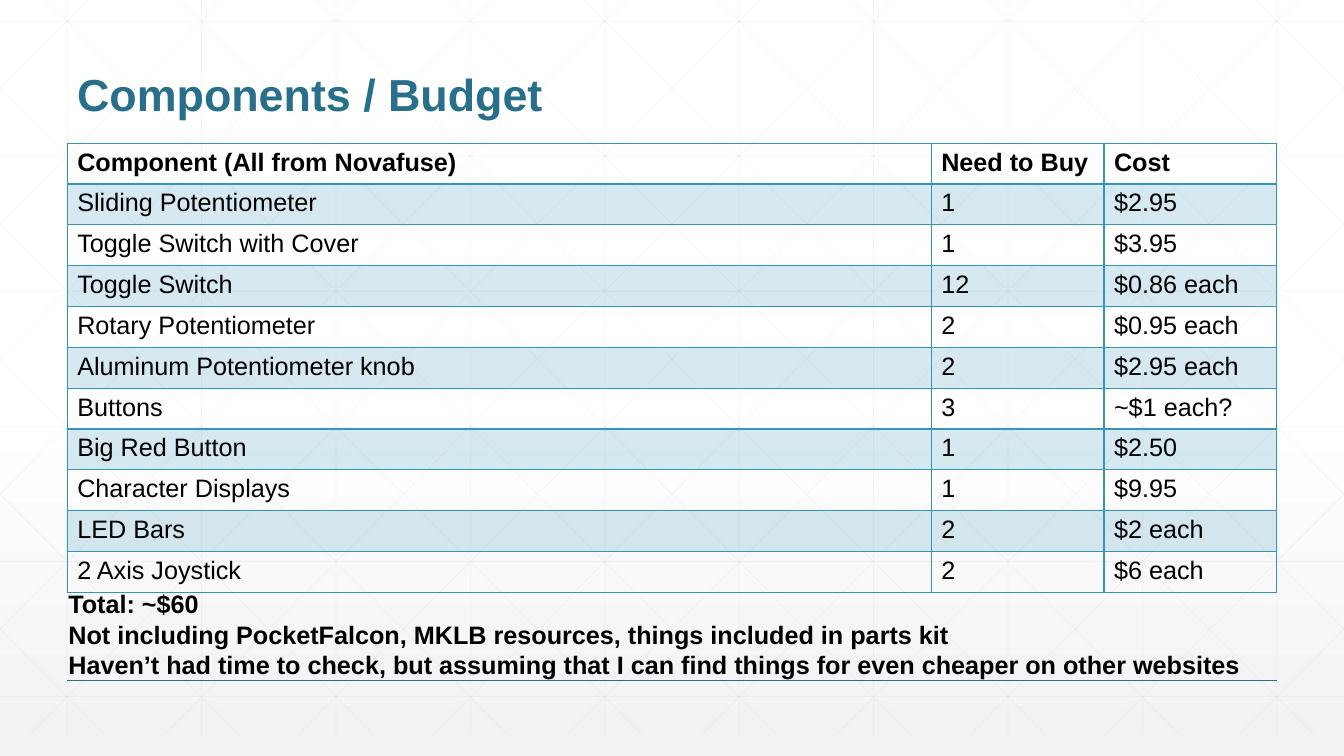
import pptx
import pptx.dml.color
import pptx.enum.shapes
import pptx.enum.text
import pptx.oxml
import pptx.oxml.ns
import pptx.util
from lxml import etree

WIDTH, HEIGHT = 13.33, 7.5
COLUMN = WIDTH / 10              # spacing of the vertical grid lines
MARGIN = COLUMN / 2
CONTENT = WIDTH - 2 * MARGIN
GRID_TOP = -0.21
GRID_BOTTOM = GRID_TOP + HEIGHT
GRID_ROW = 1.34
DIAGONAL_RUN = 7.455             # sideways travel of a full-height diagonal
FONT = "Arial"
COLORS = {"text": "000000", "title": "276F8B", "accent": "3494BA",
          "grid": "D9D9D9", "light": "FFFFFF", "shade": "F2F2F2"}
COLUMN_SHARES = (5 / 7, 1 / 7, 1 / 7)
PARTS = [
    ("Component (All from Novafuse)", "Need to Buy", "Cost"),
    ("Sliding Potentiometer", "1", "$2.95"),
    ("Toggle Switch with Cover", "1", "$3.95"),
    ("Toggle Switch", "12", "$0.86 each"),
    ("Rotary Potentiometer", "2", "$0.95 each"),
    ("Aluminum Potentiometer knob", "2", "$2.95 each"),
    ("Buttons", "3", "~$1 each?"),
    ("Big Red Button", "1", "$2.50"),
    ("Character Displays", "1", "$9.95"),
    ("LED Bars", "2", "$2 each"),
    ("2 Axis Joystick", "2", "$6 each"),
]
NOTES = [
    "Total: ~$60",
    "Not including PocketFalcon, MKLB resources, things included in parts kit",
    "Haven’t had time to check, but assuming that I can find things "
    "for even cheaper on other websites",
]


def inches(*lengths):
    return [pptx.util.Inches(length) for length in lengths]


def rgb(name):
    return pptx.dml.color.RGBColor.from_string(COLORS[name])


def set_alpha(parent, percent):
    for color in parent.iter(pptx.oxml.ns.qn("a:srgbClr")):
        alpha = etree.SubElement(color, pptx.oxml.ns.qn("a:alpha"))
        alpha.set("val", str(percent * 1000))


def set_background(page):
    page.element.cSld.insert(0, pptx.oxml.parse_xml(
        f'<p:bg {pptx.oxml.ns.nsdecls("p", "a")}><p:bgPr><a:gradFill><a:gsLst>'
        f'<a:gs pos="0"><a:srgbClr val="{COLORS["light"]}"/></a:gs>'
        f'<a:gs pos="53000"><a:srgbClr val="{COLORS["light"]}"/></a:gs>'
        f'<a:gs pos="100000"><a:srgbClr val="{COLORS["shade"]}">'
        '<a:alpha val="65000"/></a:srgbClr></a:gs></a:gsLst>'
        '<a:lin ang="5400000" scaled="0"/></a:gradFill><a:effectLst/>'
        '</p:bgPr></p:bg>'))


def add_line(page, start, end, color, weight, opacity=100):
    line = page.shapes.add_connector(
        pptx.enum.shapes.MSO_CONNECTOR.STRAIGHT, *inches(*start, *end))
    line.line.color.rgb = rgb(color)
    line.line.width = pptx.util.Pt(weight)
    if opacity < 100:
        set_alpha(line.line._ln, opacity)
    etree.SubElement(line._element.spPr, pptx.oxml.ns.qn("a:effectLst"))


def add_grid(page):
    lines = [((MARGIN + COLUMN * i, GRID_TOP), (MARGIN + COLUMN * i, GRID_BOTTOM))
             for i in range(10)]
    lines += [((0, 0.21 + GRID_ROW * i), (WIDTH, 0.21 + GRID_ROW * i))
              for i in range(6)]
    # Diagonals are clipped at the slide's sides, then mirrored
    for i in range(-5, 10):
        top_x = 0.25 + COLUMN * i
        xs = max(top_x, 0), min(top_x + DIAGONAL_RUN, WIDTH)
        ys = [GRID_TOP + (x - top_x) * HEIGHT / DIAGONAL_RUN for x in xs]
        (x1, x2), (y1, y2) = xs, ys
        lines += [((x1, y1), (x2, y2)), ((WIDTH - x1, y1), (WIDTH - x2, y2))]
    for start, end in lines:
        add_line(page, start, end, "grid", 0.5, 25)


def style_text(frame, size, color, bold):
    for para in frame.paragraphs:
        for span in para.runs:
            span.font.name = FONT
            span.font.size = pptx.util.Pt(size)
            span.font.bold = bold
            span.font.color.rgb = rgb(color)


def add_text(page, place, text, size, color, anchor):
    frame = page.shapes.add_textbox(*inches(*place)).text_frame
    frame.word_wrap = True
    frame.vertical_anchor = anchor
    frame.text = text
    style_text(frame, size, color, True)
    return frame


def set_borders(cell, weights):
    properties = cell._tc.get_or_add_tcPr()
    for index, (side, weight) in enumerate(weights.items()):
        properties.insert(index, pptx.oxml.parse_xml(
            f'<a:ln{side} {pptx.oxml.ns.nsdecls("a")} w="{weight * 12700}">'
            f'<a:solidFill><a:srgbClr val="{COLORS["accent"]}"/></a:solidFill>'
            f'<a:prstDash val="solid"/></a:ln{side}>'))


def add_parts_table(page):
    place = inches(MARGIN, 1.42, CONTENT, 4.46)
    table = page.shapes.add_table(len(PARTS), len(COLUMN_SHARES), *place).table
    table.first_row = table.horz_banding = False
    for column, share in zip(table.columns, COLUMN_SHARES):
        column.width = pptx.util.Inches(CONTENT * share)
    for r, part in enumerate(PARTS):
        for c, text in enumerate(part):
            cell = table.cell(r, c)
            cell.text_frame.text = text
            style_text(cell.text_frame, 18, "text", r == 0)
            if r % 2:
                cell.fill.solid()
                cell.fill.fore_color.rgb = rgb("accent")
                set_alpha(cell._tc.tcPr, 20)
            else:
                cell.fill.background()
            set_borders(cell, {"L": 1, "R": 1, "T": 2 if r == 1 else 1,
                               "B": 2 if r == 0 else 1})


def main():
    deck = pptx.Presentation()
    deck.slide_width, deck.slide_height = inches(WIDTH, HEIGHT)
    page = deck.slides.add_slide(deck.slide_layouts[6])
    anchors = pptx.enum.text.MSO_ANCHOR

    # Backdrop and footer rule
    set_background(page)
    add_grid(page)
    add_line(page, (MARGIN, HEIGHT * 0.9), (WIDTH - MARGIN, HEIGHT * 0.9), "title", 1)

    # Title, table and closing notes
    title = add_text(page, (MARGIN, 0.25, CONTENT, 1), "Components / Budget",
                     32, "title", anchors.BOTTOM)
    title.paragraphs[0].line_spacing = 0.9
    add_parts_table(page)
    add_text(page, (0.58, 5.79, 12.17, 1.01), "\n".join(NOTES), 18, "text", anchors.TOP)

    deck.save("out.pptx")


if __name__ == "__main__":
    main()
